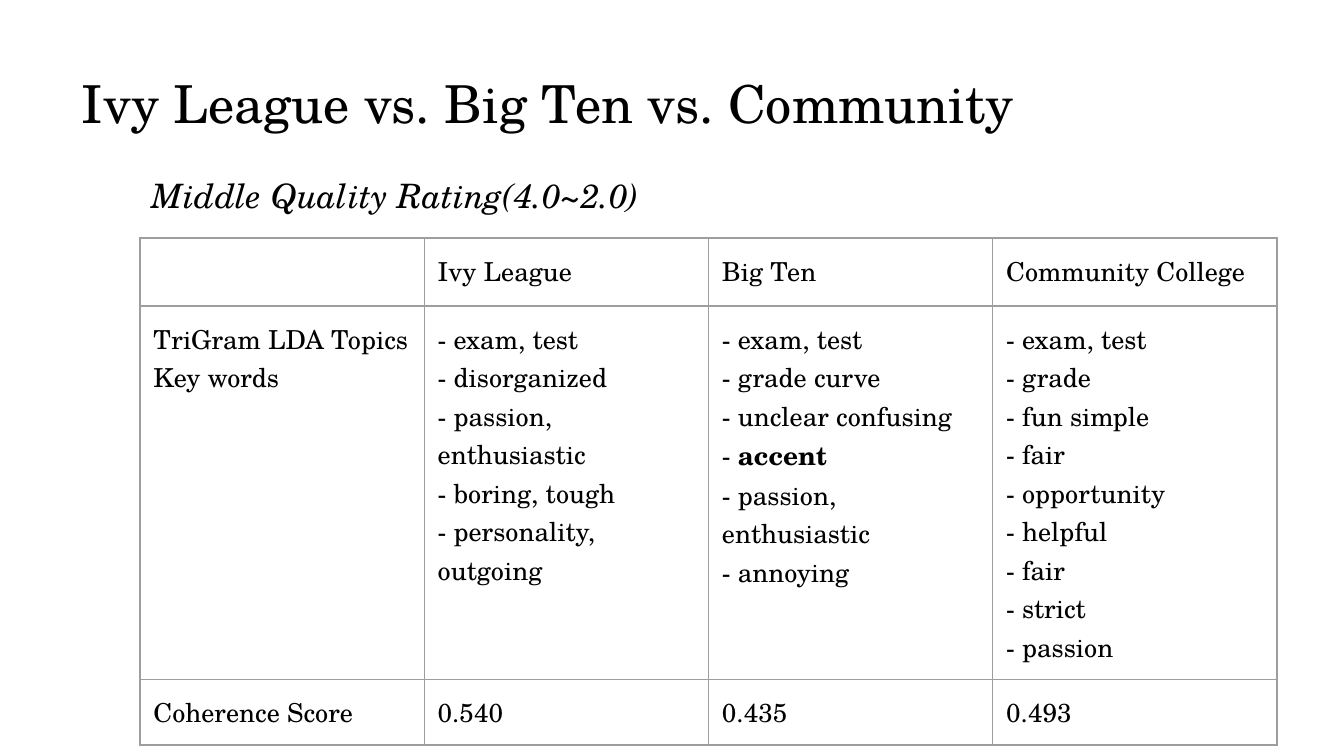
from dataclasses import dataclass

from lxml import etree
from pptx import Presentation
from pptx.dml.color import RGBColor
from pptx.enum.text import MSO_ANCHOR, MSO_AUTO_SIZE, PP_ALIGN
from pptx.oxml.ns import qn
from pptx.util import Pt

LEFT = PP_ALIGN.LEFT
TOP = MSO_ANCHOR.TOP
FIXED = MSO_AUTO_SIZE.NONE


@dataclass
class Theme:
    font: str = "TeX Gyre Schola"
    ink: str = "000000"
    paper: str = "FFFFFF"
    rule: str = "9E9E9E"
    head: float = 28
    sub: float = 18
    cell: float = 14
    pad: float = 7.2
    line: float = 0.75


class Deck:
    def __init__(self, theme, slide):
        self.theme = theme
        self.slide = slide
        fill = slide.background.fill
        fill.solid()
        fill.fore_color.rgb = RGBColor.from_string(theme.paper)

    def text(self, frame, lines, size, italic=False):
        for i, runs in enumerate(lines):
            para = frame.paragraphs[0] if i == 0 else frame.add_paragraph()
            para.alignment = LEFT
            for words, bold in runs:
                run = para.add_run()
                run.text = words
                font = run.font
                font.name = self.theme.font
                font.size = Pt(size)
                font.bold = bold
                font.italic = italic
                font.color.rgb = RGBColor.from_string(self.theme.ink)

    def place(self, shape, box, words, size, italic=False):
        shape.left, shape.top, shape.width, shape.height = map(Pt, box)
        frame = shape.text_frame
        frame.word_wrap = True
        frame.auto_size = FIXED
        frame.vertical_anchor = TOP
        pad = Pt(self.theme.pad)
        frame.margin_left = frame.margin_right = pad
        frame.margin_top = frame.margin_bottom = pad
        self.text(frame, plain(words), size, italic)

    def title(self, box, words):
        self.place(self.slide.shapes.title, box, words, self.theme.head)

    def label(self, box, words):
        shape = self.slide.shapes.add_textbox(*map(Pt, box))
        self.place(shape, box, words, self.theme.sub, italic=True)

    def border(self, cell):
        props = cell._tc.get_or_add_tcPr()
        for side in ("lnL", "lnR", "lnT", "lnB"):
            line = etree.SubElement(props, qn(f"a:{side}"), w=str(int(Pt(self.theme.line))))
            fill = etree.SubElement(line, qn("a:solidFill"))
            etree.SubElement(fill, qn("a:srgbClr"), val=self.theme.rule)

    def table(self, left, top, width, highs, rows):
        count = len(rows[0])
        shape = self.slide.shapes.add_table(
            len(rows), count, Pt(left), Pt(top), Pt(width * count), Pt(sum(highs))
        )
        grid = shape.table
        grid.first_row = grid.horz_banding = False
        for col in grid.columns:
            col.width = Pt(width)
        pad = Pt(self.theme.pad)
        for row, high, cells in zip(grid.rows, highs, rows):
            row.height = Pt(high)
            for cell, lines in zip(row.cells, cells):
                cell.margin_left = cell.margin_right = pad
                cell.margin_top = cell.margin_bottom = pad
                cell.vertical_anchor = TOP
                self.border(cell)
                cell.fill.background()
                self.text(cell.text_frame, lines, self.theme.cell)


def plain(*lines):
    return [[(words, False)] for words in lines]


def topics(*words, strong=()):
    return [
        [("- ", False), (word, True)] if word in strong else [(f"- {word}", False)]
        for word in words
    ]


def main():
    prs = Presentation()
    prs.slide_width, prs.slide_height = Pt(720), Pt(405)
    deck = Deck(Theme(), prs.slides.add_slide(prs.slide_layouts[5]))
    deck.title((36.7, 31, 560, 45.4), "Ivy League vs. Big Ten vs. Community")
    deck.label((74.2, 86.4, 305.3, 30.2), "Middle Quality Rating(4.0~2.0)")
    rows = [
        [[], plain("Ivy League"), plain("Big Ten"), plain("Community College")],
        [
            plain("TriGram LDA Topics", "Key words"),
            topics(
                "exam, test", "disorganized", "passion, enthusiastic",
                "boring, tough", "personality, outgoing",
            ),
            topics(
                "exam, test", "grade curve", "unclear confusing", "accent",
                "passion, enthusiastic", "annoying", strong=("accent",),
            ),
            topics(
                "exam, test", "grade", "fun simple", "fair", "opportunity",
                "helpful", "fair", "strict", "passion",
            ),
        ],
        [plain(words) for words in ("Coherence Score", "0.540", "0.435", "0.493")],
    ]
    deck.table(75, 127.5, 152.3, (31, 178, 30), rows)
    prs.save("out.pptx")


if __name__ == "__main__":
    main()
